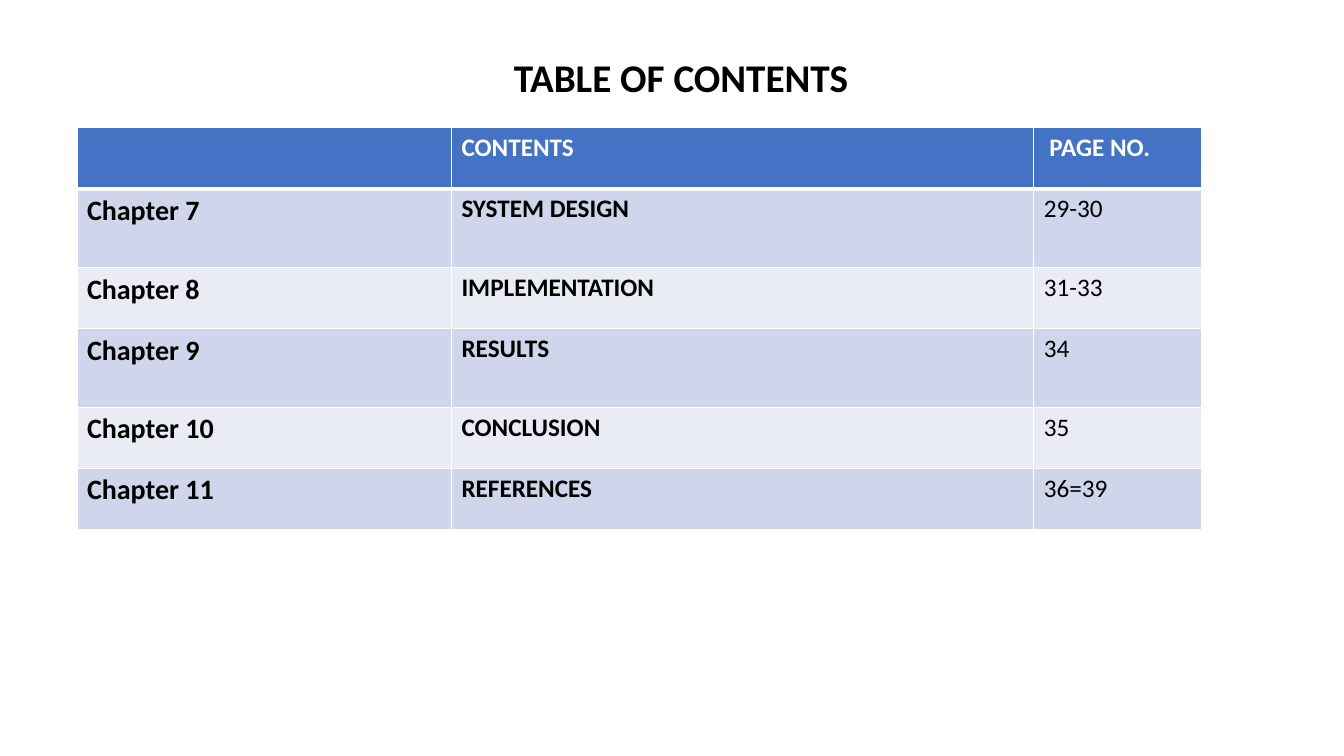
from dataclasses import dataclass

from lxml.etree import SubElement
from pptx import Presentation
from pptx.dml.color import RGBColor
from pptx.oxml.ns import qn
from pptx.util import Pt


@dataclass(frozen=True)
class Theme:
    face: str = "Calibri"
    ink: str = "000000"
    white: str = "FFFFFF"
    head: str = "4472C4"
    bands: tuple = ("CFD5EA", "E9EBF5")
    title: int = 28
    label: int = 20
    body: int = 18


theme = Theme()


def style(para, size, color, bold):
    font = para.font
    font.name, font.size, font.bold = theme.face, Pt(size), bold
    font.color.rgb = RGBColor.from_string(color)


def border(cell, side, width):
    props = cell._tc.get_or_add_tcPr()
    line = SubElement(props, qn(f"a:ln{side}"), w=str(Pt(width)))
    fill = SubElement(line, qn("a:solidFill"))
    SubElement(fill, qn("a:srgbClr"), val=theme.white)


deck = Presentation()
deck.slide_width, deck.slide_height = Pt(960), Pt(540)
slide = deck.slides.add_slide(deck.slide_layouts[6])

# Contents table
rows = [
    ("", "CONTENTS", "PAGE NO."),
    ("Chapter 7", "SYSTEM DESIGN", "29-30"),
    ("Chapter 8", "IMPLEMENTATION", "31-33"),
    ("Chapter 9", "RESULTS", "34"),
    ("Chapter 10", "CONCLUSION", "35"),
    ("Chapter 11", "REFERENCES", "36=39"),
]
widths = (267.5, 416, 119.5)
low, tall = 43.6, 56.2
heights = (low, tall, low, tall, low, low)

table = slide.shapes.add_table(
    len(rows), len(widths), Pt(55), Pt(91.3), Pt(sum(widths)), Pt(sum(heights))
).table
for col, width in zip(table.columns, widths):
    col.width = Pt(width)

for r, (row, height) in enumerate(zip(rows, heights)):
    table.rows[r].height = Pt(height)
    top = r == 0
    for c, text in enumerate(row):
        cell = table.cell(r, c)
        for side in "LRTB":
            thick = (r, side) in ((0, "B"), (1, "T"))
            border(cell, side, 3 if thick else 1)
        cell.fill.solid()
        shade = theme.head if top else theme.bands[(r - 1) % 2]
        cell.fill.fore_color.rgb = RGBColor.from_string(shade)
        cell.text = text
        size = theme.label if c == 0 and not top else theme.body
        color = theme.white if top else theme.ink
        style(cell.text_frame.paragraphs[0], size, color, top or c < 2)
table.cell(0, 2).margin_left = Pt(11.2)

# Title
box = slide.shapes.add_textbox(Pt(300), Pt(34.6), Pt(480), Pt(41))
frame = box.text_frame
frame.word_wrap = True
frame.margin_left = Pt(67)
frame.text = "TABLE OF CONTENTS"
style(frame.paragraphs[0], theme.title, theme.ink, True)

deck.save("out.pptx")
